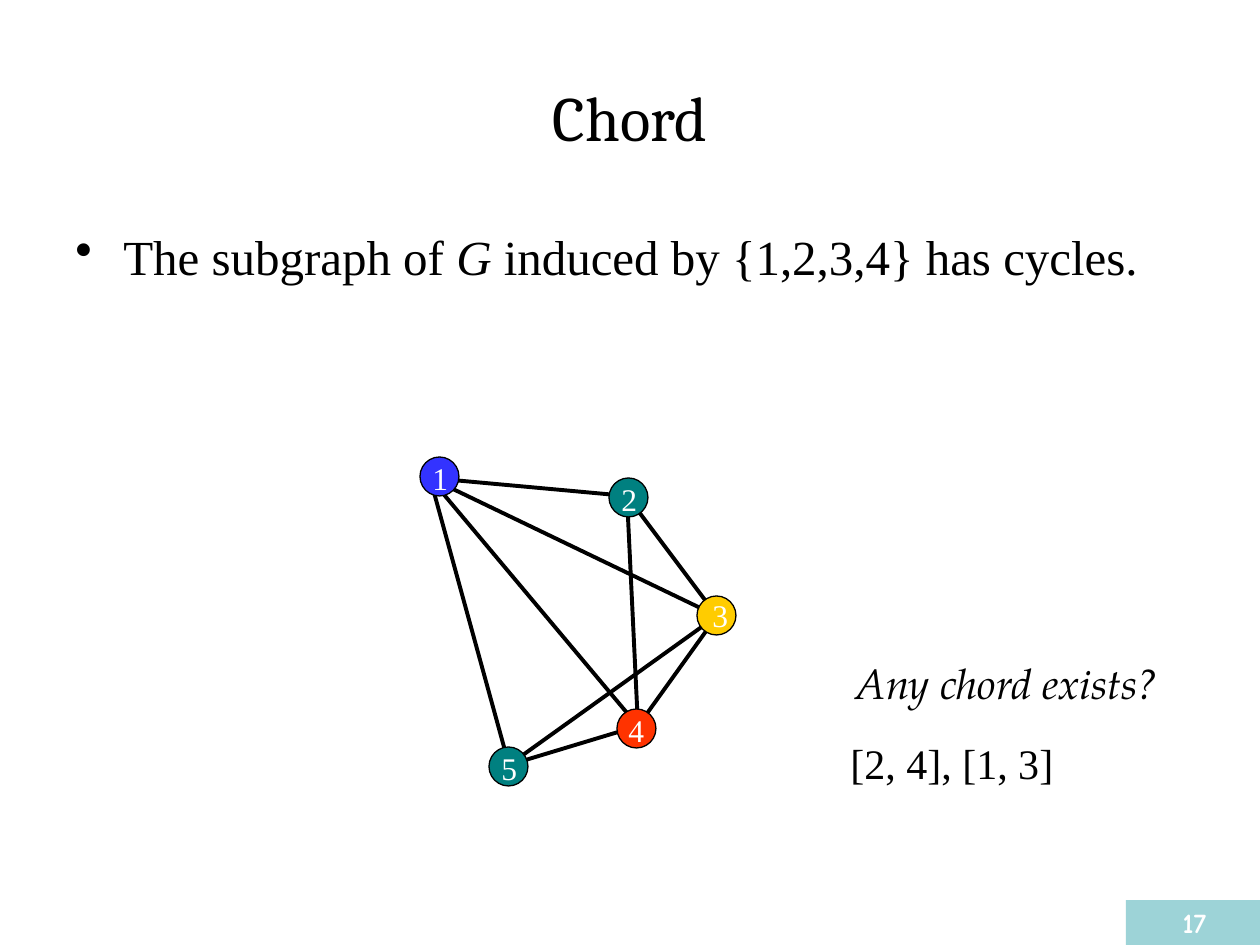
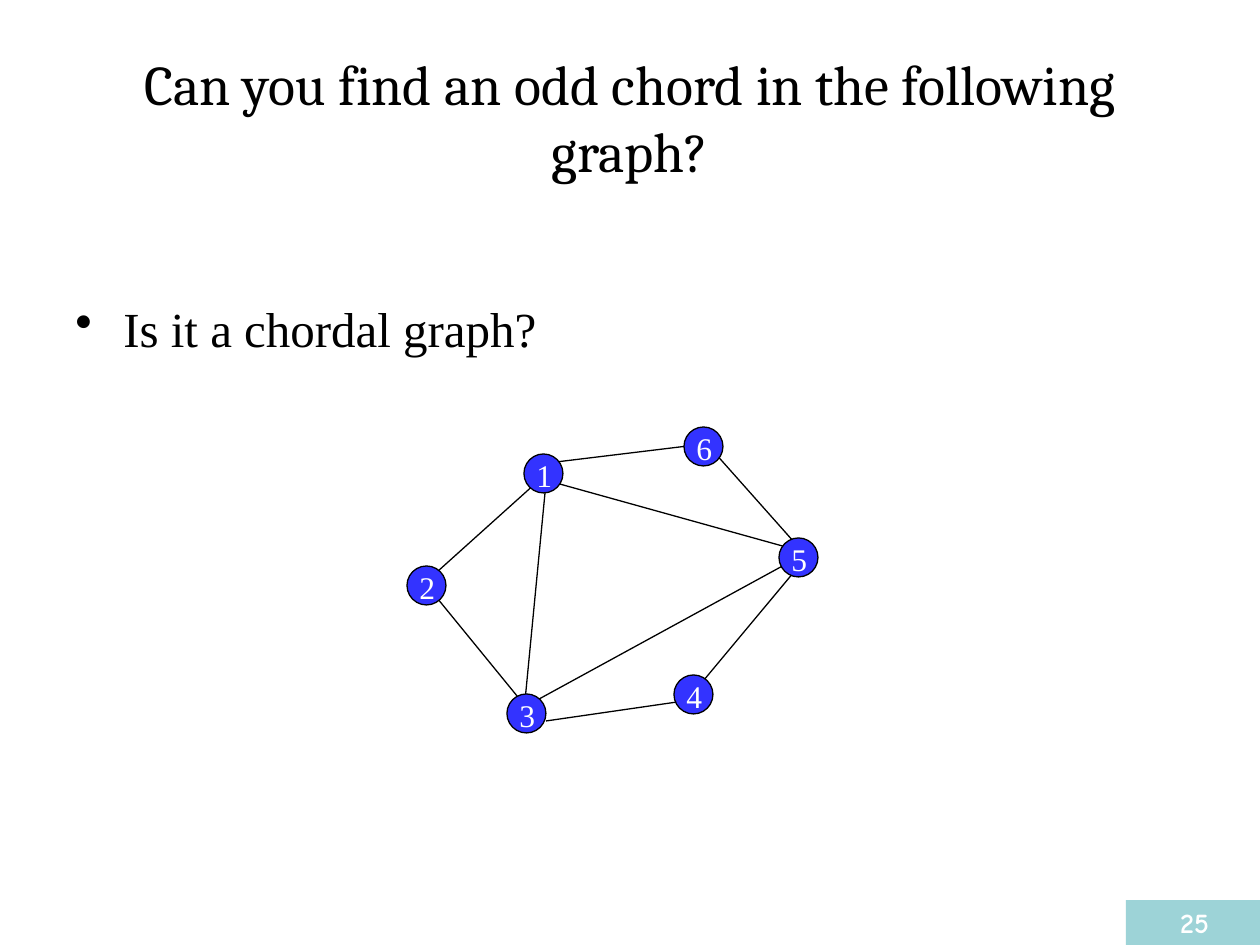
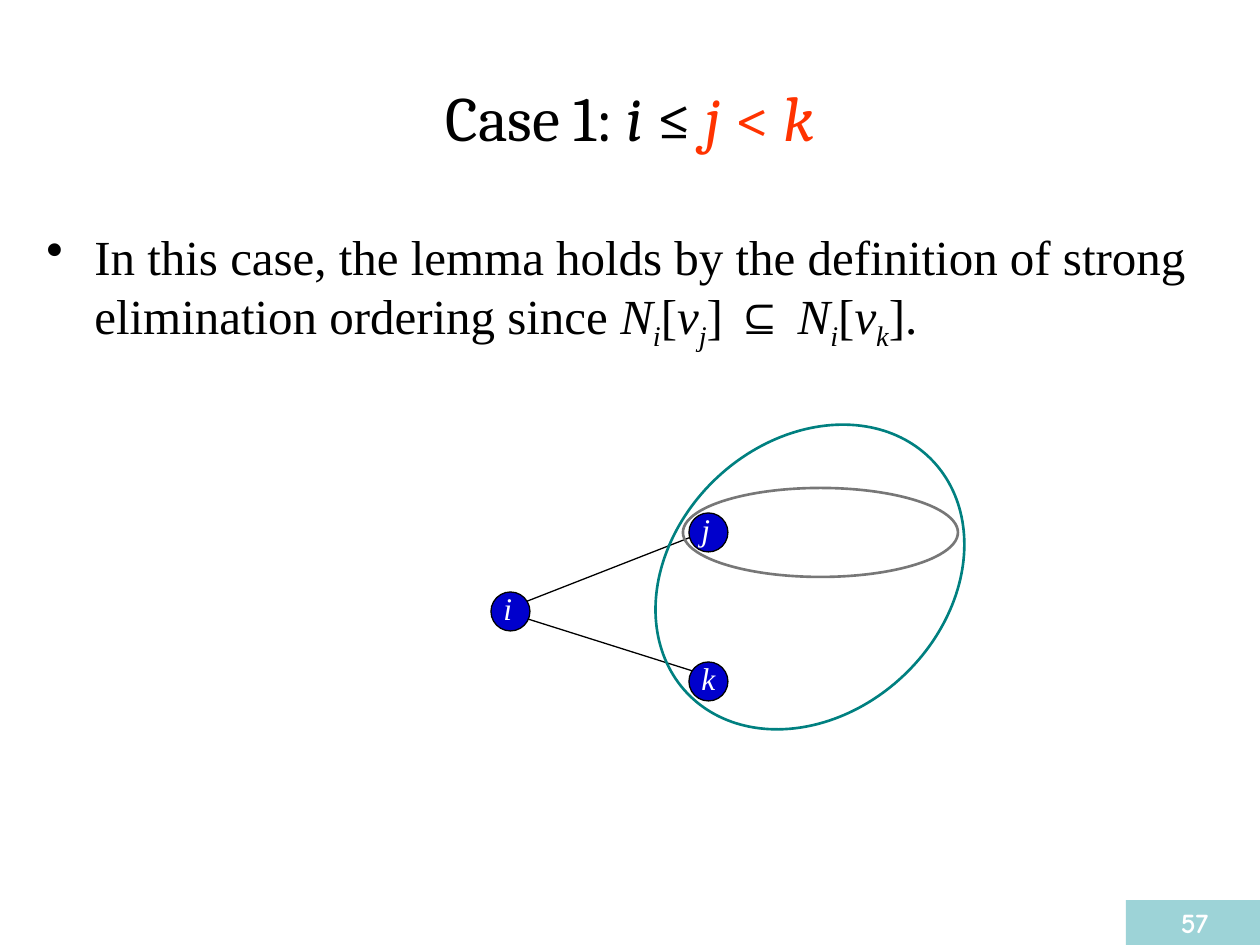
import pptx
import pptx.dml.color
import pptx.enum.shapes
import pptx.enum.text
import pptx.oxml.ns
import pptx.util
from lxml import etree

PX = 914400 / 126
COLORS = {
    "black": "000000", "white": "FFFFFF", "band": "9DD3D7", "red": "FF3300",
    "teal": "008080", "gold": "FFCC00", "blue": "3333FF", "navy": "0000CC",
    "gray": "777777",
}
SERIF = "Times New Roman"
ALIGN = pptx.enum.text.PP_ALIGN
ANCHOR = pptx.enum.text.MSO_ANCHOR
SHAPE = pptx.enum.shapes.MSO_SHAPE
DOT = 39  # node diameter


def emu(*sizes):
    return [round(size * PX) for size in sizes]


def rgb(name):
    return pptx.dml.color.RGBColor.from_string(COLORS[name])


class Deck:
    def __init__(self):
        self.prs = pptx.Presentation()
        self.prs.slide_width, self.prs.slide_height = emu(1260, 945)
        self.slide = None

    def page(self, number, title, size=36):
        """Start a slide with its title and number band."""
        self.slide = self.prs.slides.add_slide(self.prs.slide_layouts[6])
        self.text((63, 38, 1134, 157), title, size, "Cambria",
                  align=ALIGN.CENTER, anchor=ANCHOR.MIDDLE)
        band = self.shape(SHAPE.RECTANGLE, (1126, 900, 137, 45), "band")
        self.label(band, str(number), 16, "Comic Neue", "white",
                   ALIGN.CENTER, ANCHOR.MIDDLE, bold=True)

    def label(self, shape, parts, size, font, color="black",
              align=ALIGN.LEFT, anchor=ANCHOR.TOP, bold=False, bullet=False):
        """Fill a shape with a string or with (text, format) parts."""
        frame = shape.text_frame
        frame.word_wrap = True
        frame.vertical_anchor = anchor
        para = frame.paragraphs[0]
        para.alignment = align
        if bullet:
            props = para._p.get_or_add_pPr()
            indent = emu(48)[0]
            props.set("marL", str(indent))
            props.set("indent", str(-indent))
            mark = etree.SubElement(props, pptx.oxml.ns.qn("a:buChar"))
            mark.set("char", "•")
        if isinstance(parts, str):
            parts = [(parts, {})]
        for words, style in parts:
            run = para.add_run()
            run.text = words
            run.font.size = pptx.util.Pt(size)
            run.font.name = style.get("font", font)
            run.font.bold = bold
            run.font.italic = style.get("italic", False)
            run.font.color.rgb = rgb(style.get("color", color))
            if "base" in style:
                run.font._element.set("baseline", str(style["base"]))

    def text(self, box, parts, size, font=SERIF, **style):
        item = self.slide.shapes.add_textbox(*emu(*box))
        self.label(item, parts, size, font, **style)

    def point(self, parts, left=63, top=220, width=1134):
        """Add the bulleted statement."""
        self.text((left, top, width, 844 - top), parts, 28, bullet=True)

    def shape(self, kind, box, fill=None, line=None, weight=0.75, turn=0):
        item = self.slide.shapes.add_shape(kind, *emu(*box))
        item.shadow.inherit = False
        item.rotation = turn
        if fill:
            item.fill.solid()
            item.fill.fore_color.rgb = rgb(fill)
        else:
            item.fill.background()
        if line:
            item.line.color.rgb = rgb(line)
            item.line.width = pptx.util.Pt(weight)
        else:
            item.line.fill.background()
        return item

    def edge(self, start, end, weight=0.75):
        line = self.slide.shapes.add_connector(
            pptx.enum.shapes.MSO_CONNECTOR.STRAIGHT, *emu(*start, *end))
        line.line.color.rgb = rgb("black")
        line.line.width = pptx.util.Pt(weight)
        etree.SubElement(line._element.spPr, pptx.oxml.ns.qn("a:effectLst"))

    def node(self, name, left, top, fill, shift=(0, -4), italic=False):
        """Add a graph node; shift moves its label."""
        self.shape(SHAPE.OVAL, (left, top, DOT, DOT), fill, "black")
        self.text((left + shift[0], top + shift[1], 49, 50),
                  [(name, {"italic": italic})], 18, color="white")


ITALIC = {"italic": True}
SUB = {"italic": True, "base": -25000}


def hood(name):
    """Parts for the closed neighbourhood of a vertex."""
    return [("N", ITALIC), ("i", SUB), ("[", {}), ("v", ITALIC), (name, SUB)]


def chord(deck):
    deck.page(17, "Chord")
    deck.point([("The subgraph of ", {}), ("G", ITALIC),
                (" induced by {1,2,3,4} has cycles.", {})])
    # Edges
    ends = {1: (430, 478), 2: (627, 496), 3: (717, 616),
            4: (638, 726), 5: (509, 765)}
    pairs = [(1, 4), (1, 3), (1, 2), (2, 4), (4, 3), (2, 3),
             (5, 1), (5, 4), (5, 3)]
    for start, end in pairs:
        deck.edge(ends[start], ends[end], 2.25)
    # Nodes
    deck.node("5", 489, 747, "teal")
    deck.node("4", 617, 709, "red", (-1, -4))
    deck.node("2", 609, 478, "teal")
    deck.node("3", 697, 596, "gold", (3, -6))
    deck.node("1", 420, 457, "blue")
    # Question and answer
    deck.text((828, 651, 358, 113), [("Any chord exists?", ITALIC)], 24,
              "TeX Gyre Pagella", align=ALIGN.CENTER)
    deck.text((838, 731, 287, 63), "[2, 4], [1, 3]", 24)


def odd(deck):
    deck.page(25, "Can you find an odd chord in the following graph?", 32)
    deck.point("Is it a chordal graph?", top=292)
    # Edges
    edges = [
        ((530, 704), (788, 563)), ((546, 483), (525, 701)),
        ((556, 483), (804, 552)), ((536, 483), (427, 581)),
        ((433, 593), (522, 702)), ((546, 721), (684, 701)),
        ((704, 680), (794, 572)), ((714, 452), (794, 542)),
        ((556, 462), (688, 446)),
    ]
    for start, end in edges:
        deck.edge(start, end)
    # Nodes
    spots = [(524, 454), (407, 566), (507, 694),
             (674, 675), (779, 538), (684, 427)]
    for number, (left, top) in enumerate(spots, 1):
        deck.node(str(number), left, top, "blue")


def case(deck):
    red = {"color": "red"}
    deck.page(57, [("Case 1: ", {}), ("i", ITALIC), (" ≤ ", {}),
                   ("j", ITALIC | red), (" < ", red), ("k", ITALIC | red)])
    deck.point([("In this case, the lemma holds by the definition of strong "
                 "elimination ordering since ", {}),
                *hood("j"), ("] ", {}), ("⊆ ", {"font": "Arial"}),
                *hood("k"), ("].", {})], left=34, width=1181)
    # Edges and nodes
    deck.edge((520, 604), (699, 534))
    deck.edge((512, 614), (699, 673))
    for name, left, top in [("k", 689, 662), ("j", 689, 513), ("i", 491, 592)]:
        deck.node(name, left, top, "navy", (0, -9), italic=True)
    # Neighbourhoods
    deck.shape(SHAPE.OVAL, (683, 488, 275, 89), None, "gray", 1.5)
    deck.shape(SHAPE.OVAL, (641, 441, 338, 272), None, "teal", 1.5, 316.8)


def main():
    deck = Deck()
    chord(deck)
    odd(deck)
    case(deck)
    deck.prs.save("out.pptx")


if __name__ == "__main__":
    main()
